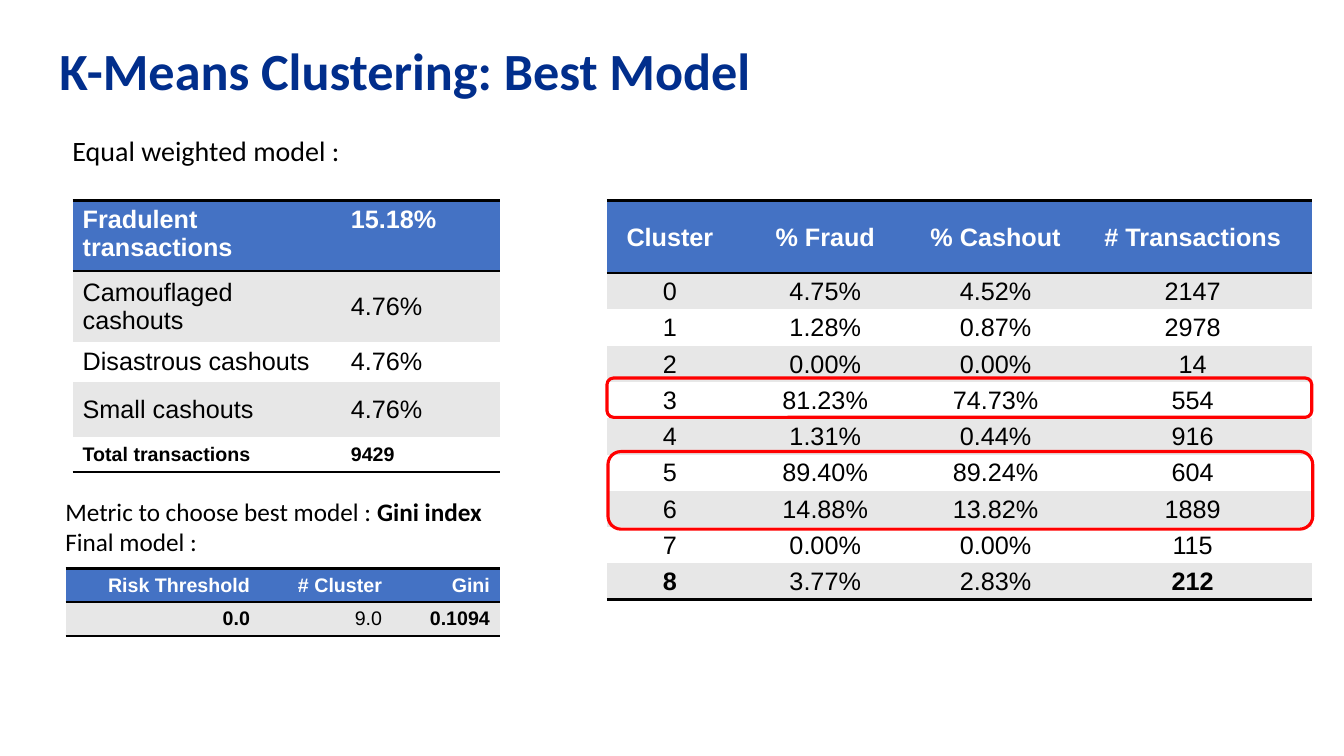
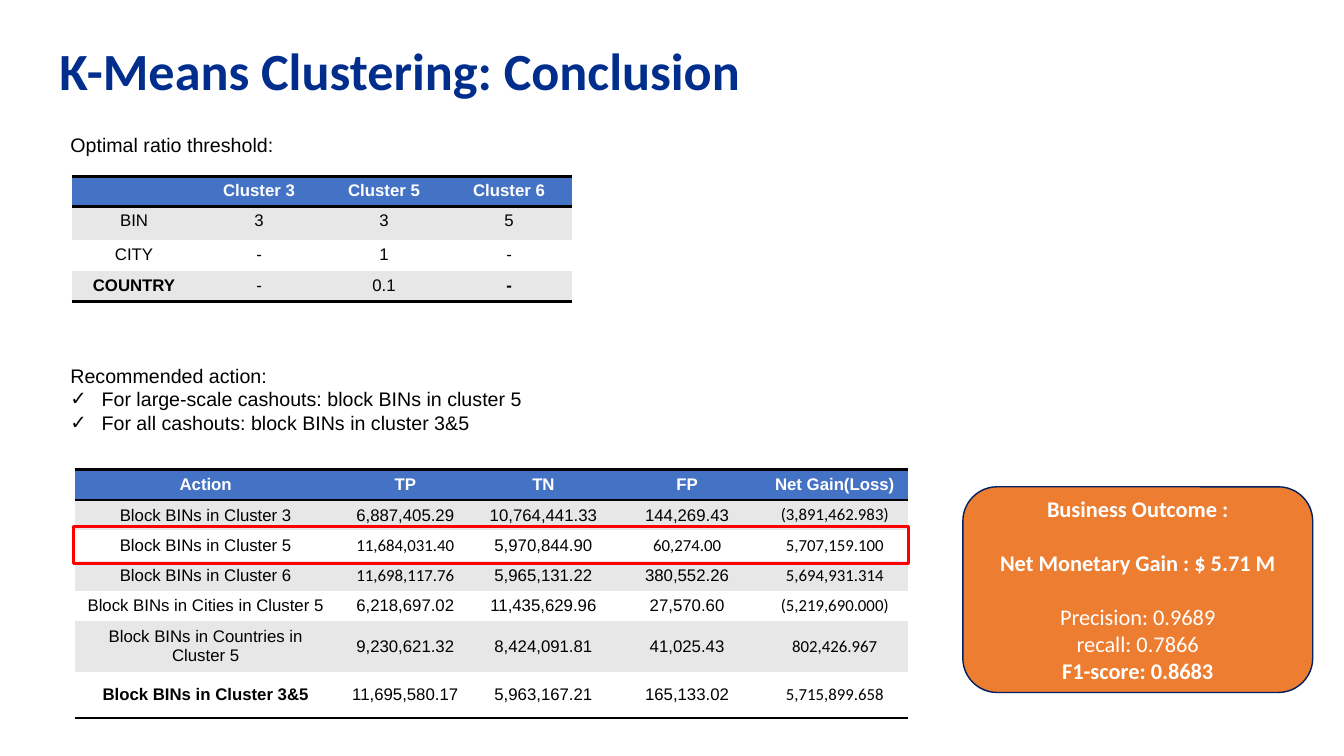
from dataclasses import dataclass
from typing import Optional

from lxml import etree
from pptx import Presentation
from pptx.dml.color import RGBColor
from pptx.enum.shapes import MSO_SHAPE
from pptx.enum.text import MSO_ANCHOR, PP_ALIGN
from pptx.oxml.ns import qn
from pptx.util import Inches, Pt

LEFT, CENTER, RIGHT = PP_ALIGN.LEFT, PP_ALIGN.CENTER, PP_ALIGN.RIGHT
TOP, MIDDLE = MSO_ANCHOR.TOP, MSO_ANCHOR.MIDDLE
RECTANGLE, ROUNDED = MSO_SHAPE.RECTANGLE, MSO_SHAPE.ROUNDED_RECTANGLE
NO_GRID_STYLE = "{2D5ABB26-0587-4C30-8999-92F81FD0307C}"


@dataclass(frozen=True)
class Theme:
    title_color: str = "012E8C"
    ink: str = "000000"
    paper: str = "FFFFFF"
    header: str = "4472C4"
    band: str = "E7E7E7"
    highlight: str = "FF0000"
    outcome: str = "ED7D31"
    outcome_edge: str = "002060"
    sans: str = "Arial"
    body: str = "Calibri"
    title_size: float = 37.3
    lead: float = 20
    large: float = 18
    outcome_size: float = 16
    medium: float = 14
    small: float = 12
    rule: float = 2
    highlight_rule: float = 2.25


THEME = Theme()


@dataclass(frozen=True)
class Box:
    left: float
    top: float
    width: float
    height: float

    def lengths(self) -> tuple:
        return tuple(map(Inches, (self.left, self.top, self.width, self.height)))


@dataclass(frozen=True)
class Style:
    size: float
    font: str = THEME.body
    color: str = THEME.ink
    bold: bool = False


@dataclass(frozen=True)
class Line:
    """One paragraph: a plain part, then an optional bold part."""
    plain: str = ""
    strong: str = ""
    check: bool = False
    before: float = 0


@dataclass(frozen=True)
class Grid:
    left: float
    top: float
    columns: tuple
    heights: tuple
    rows: tuple
    size: float
    align: PP_ALIGN
    header_anchor: MSO_ANCHOR = MIDDLE
    body_anchor: MSO_ANCHOR = MIDDLE
    strong_columns: tuple = ()  # bold cells of the last row
    last_size: Optional[float] = None
    body_font_cells: frozenset = frozenset()
    margins: Optional[tuple] = None  # left, top, right, bottom


def rgb(color: str) -> RGBColor:
    return RGBColor.from_string(color)


# Text
def add_run(paragraph, text: str, style: Style, bold: bool) -> None:
    run = paragraph.add_run()
    run.text = text
    run.font.size = Pt(style.size)
    run.font.name = style.font
    run.font.bold = bold
    run.font.color.rgb = rgb(style.color)


def add_check_mark(paragraph) -> None:
    props = paragraph._p.get_or_add_pPr()
    props.set("marL", str(Inches(0.31)))
    props.set("indent", str(-Inches(0.31)))
    color = etree.SubElement(props, qn("a:buClr"))
    etree.SubElement(color, qn("a:srgbClr"), val=THEME.ink)
    etree.SubElement(props, qn("a:buFont"), typeface=THEME.sans)
    etree.SubElement(props, qn("a:buChar"), char="✓")


def write_lines(frame, lines: tuple, style: Style, align: PP_ALIGN = LEFT) -> None:
    frame.word_wrap = True
    for index, line in enumerate(lines):
        paragraph = frame.add_paragraph() if index else frame.paragraphs[0]
        paragraph.alignment = align
        if line.before:
            paragraph.space_before = Pt(line.before)
        if line.check:
            add_check_mark(paragraph)
        if line.plain:
            add_run(paragraph, line.plain, style, style.bold)
        if line.strong:
            add_run(paragraph, line.strong, style, True)


def add_text(slide, box: Box, lines: tuple, style: Style):
    frame = slide.shapes.add_textbox(*box.lengths()).text_frame
    write_lines(frame, lines, style)
    return frame


def add_titled_slide(deck, title: str):
    slide = deck.slides.add_slide(deck.slide_layouts[6])
    style = Style(THEME.title_size, color=THEME.title_color, bold=True)
    frame = add_text(slide, Box(0.49, 0, 11.5, 1.45), (Line(title),), style)
    frame.vertical_anchor = MIDDLE
    frame.paragraphs[0].line_spacing = 0.9
    return slide


# Shapes
def add_panel(slide, preset: MSO_SHAPE, box: Box, edge: str, weight: float,
              fill: Optional[str] = None):
    panel = slide.shapes.add_shape(preset, *box.lengths())
    panel.shadow.inherit = False
    if fill:
        panel.fill.solid()
        panel.fill.fore_color.rgb = rgb(fill)
    else:
        panel.fill.background()
    panel.line.color.rgb = rgb(edge)
    panel.line.width = Pt(weight)
    return panel


def add_highlight(slide, preset: MSO_SHAPE, box: Box) -> None:
    add_panel(slide, preset, box, THEME.highlight, THEME.highlight_rule)


# Tables
def rule_cell(cell, sides: tuple) -> None:
    props = cell._tc.get_or_add_tcPr()
    for position, side in enumerate(sides):
        border = etree.Element(qn(f"a:ln{side}"), w=str(Pt(THEME.rule)))
        fill = etree.SubElement(border, qn("a:solidFill"))
        etree.SubElement(fill, qn("a:srgbClr"), val=THEME.ink)
        props.insert(position, border)


def fill_cell(cell, grid: Grid, row: int, column: int) -> None:
    is_header, is_last = row == 0, row == len(grid.rows) - 1
    style = Style(
        size=grid.last_size if is_last and grid.last_size else grid.size,
        font=THEME.body if (row, column) in grid.body_font_cells else THEME.sans,
        color=THEME.paper if is_header else THEME.ink,
        bold=is_header or (is_last and column in grid.strong_columns),
    )
    cell.vertical_anchor = grid.header_anchor if is_header else grid.body_anchor
    if grid.margins:
        (cell.margin_left, cell.margin_top,
         cell.margin_right, cell.margin_bottom) = map(Inches, grid.margins)
    cell.fill.solid()
    background = THEME.header if is_header else THEME.band if row % 2 else THEME.paper
    cell.fill.fore_color.rgb = rgb(background)
    if is_header or is_last:
        rule_cell(cell, ("T", "B") if is_header else ("B",))

    paragraph = cell.text_frame.paragraphs[0]
    paragraph.alignment = grid.align
    text = grid.rows[row][column]
    if text:
        add_run(paragraph, text, style, style.bold)
    else:
        etree.SubElement(paragraph._p, qn("a:endParaRPr"), sz=str(int(style.size * 100)))


def add_grid(slide, grid: Grid) -> None:
    box = Box(grid.left, grid.top, sum(grid.columns), sum(grid.heights))
    table = slide.shapes.add_table(
        len(grid.heights), len(grid.columns), *box.lengths()).table
    table._tbl.tblPr.find(qn("a:tableStyleId")).text = NO_GRID_STYLE
    table.horz_banding = False
    for column, width in zip(table.columns, grid.columns):
        column.width = Inches(width)
    for row, height in zip(table.rows, grid.heights):
        row.height = Inches(height)
    for row in range(len(grid.rows)):
        for column in range(len(grid.columns)):
            fill_cell(table.cell(row, column), grid, row, column)


CLUSTERS = Grid(
    6.02, 1.99, (1.34, 1.74, 1.64, 2.27), (0.72,) + (0.36,) * 9,
    (("Cluster", "% Fraud", "% Cashout", "# Transactions"),
     ("0", "4.75%", "4.52%", "2147"),
     ("1", "1.28%", "0.87%", "2978"),
     ("2", "0.00%", "0.00%", "14"),
     ("3", "81.23%", "74.73%", "554"),
     ("4", "1.31%", "0.44%", "916"),
     ("5", "89.40%", "89.24%", "604"),
     ("6", "14.88%", "13.82%", "1889"),
     ("7", "0.00%", "0.00%", "115"),
     ("8", "3.77%", "2.83%", "212")),
    THEME.large, CENTER, strong_columns=(0, 3), margins=(0.01, 0.01, 0.1, 0))

FRAUD_SHARES = Grid(
    0.72, 1.99, (2.66, 1.58), (0.66, 0.66, 0.39, 0.54, 0.35),
    (("Fradulent transactions", "15.18%"),
     ("Camouflaged cashouts", "4.76%"),
     ("Disastrous cashouts", "4.76%"),
     ("Small cashouts", "4.76%"),
     ("Total transactions", "9429")),
    THEME.large, LEFT, header_anchor=TOP, strong_columns=(0, 1),
    last_size=THEME.medium)

FINAL_MODEL = Grid(
    0.65, 5.64, (1.93, 1.31, 1.07), (0.32,) * 2,
    (("Risk Threshold", "# Cluster", "Gini"), ("0.0", "9.0", "0.1094")),
    THEME.medium, RIGHT, strong_columns=(0, 2))

THRESHOLDS = Grid(
    0.71, 1.75, (1.24,) * 4, (0.3, 0.33, 0.31, 0.3),
    (("", "Cluster 3", "Cluster 5", "Cluster 6"),
     ("BIN", "3", "3", "5"),
     ("CITY", "-", "1", "-"),
     ("COUNTRY", "-", "0.1", "-")),
    THEME.small, CENTER, TOP, TOP, strong_columns=(0, 3))

ACTIONS = Grid(
    0.74, 4.66, (2.6, 1.36, 1.38, 1.47, 1.46), (0.3,) * 5 + (0.5, 0.46),
    (("Action", "TP", "TN", "FP", "Net Gain(Loss)"),
     ("Block BINs in Cluster 3", "6,887,405.29", "10,764,441.33", "144,269.43",
      "(3,891,462.983)"),
     ("Block BINs in Cluster 5", "11,684,031.40", "5,970,844.90", "60,274.00",
      "5,707,159.100"),
     ("Block BINs in Cluster 6", "11,698,117.76", "5,965,131.22", "380,552.26",
      "5,694,931.314"),
     ("Block BINs in Cities in Cluster 5", "6,218,697.02", "11,435,629.96",
      "27,570.60", "(5,219,690.000)"),
     ("Block BINs in Countries in Cluster 5", "9,230,621.32", "8,424,091.81",
      "41,025.43", "802,426.967"),
     ("Block BINs in Cluster 3&5", "11,695,580.17", "5,963,167.21", "165,133.02",
      "5,715,899.658")),
    THEME.small, CENTER, header_anchor=TOP, strong_columns=(0,),
    body_font_cells=frozenset(
        [(row, 4) for row in range(1, 7)] + [(2, 1), (2, 3), (3, 1)]))


def build_best_model(deck) -> None:
    slide = add_titled_slide(deck, "K-Means Clustering: Best Model")
    for grid in (CLUSTERS, FRAUD_SHARES, FINAL_MODEL):
        add_grid(slide, grid)
    add_highlight(slide, ROUNDED, Box(6.03, 4.48, 6.99, 0.77))
    add_highlight(slide, ROUNDED, Box(6.02, 3.75, 6.99, 0.39))
    add_text(slide, Box(0.62, 1.27, 9.14, 0.98),
             (Line("Equal weighted model :"),), Style(THEME.lead))
    add_text(slide, Box(0.55, 4.87, 6.67, 0.71),
             (Line("Metric to choose best model : ", "Gini index"),
              Line("Final model :")), Style(THEME.large))


def build_conclusion(deck) -> None:
    slide = add_titled_slide(deck, "K-Means Clustering: Conclusion")
    note = Style(THEME.medium, THEME.sans)
    add_text(slide, Box(0.6, 1.27, 3.38, 0.4),
             (Line("Optimal ratio threshold:"),), note)
    add_grid(slide, THRESHOLDS)
    add_grid(slide, ACTIONS)
    add_text(slide, Box(0.6, 3.56, 6.44, 1.01),
             (Line("Recommended action:"),
              Line("For large-scale cashouts: block BINs in cluster 5", check=True),
              Line("For all cashouts: block BINs in cluster 3&5", check=True)), note)

    # Business outcome panel
    outcome = add_panel(slide, ROUNDED, Box(9.55, 4.83, 3.47, 2.04),
                        THEME.outcome_edge, 1, THEME.outcome).text_frame
    outcome.vertical_anchor = MIDDLE
    gap = 19.5
    write_lines(outcome,
                (Line(strong="Business Outcome :"),
                 Line(strong="Net Monetary Gain : $ 5.71 M", before=gap),
                 Line("Precision: 0.9689", before=gap),
                 Line("recall: 0.7866"),
                 Line(strong="F1-score: 0.8683")),
                Style(THEME.outcome_size, color=THEME.paper), CENTER)
    add_highlight(slide, RECTANGLE, Box(0.73, 5.22, 8.28, 0.37))


def main() -> None:
    deck = Presentation()
    deck.slide_width, deck.slide_height = Inches(13.33), Inches(7.5)
    build_best_model(deck)
    build_conclusion(deck)
    deck.save("out.pptx")


if __name__ == "__main__":
    main()
